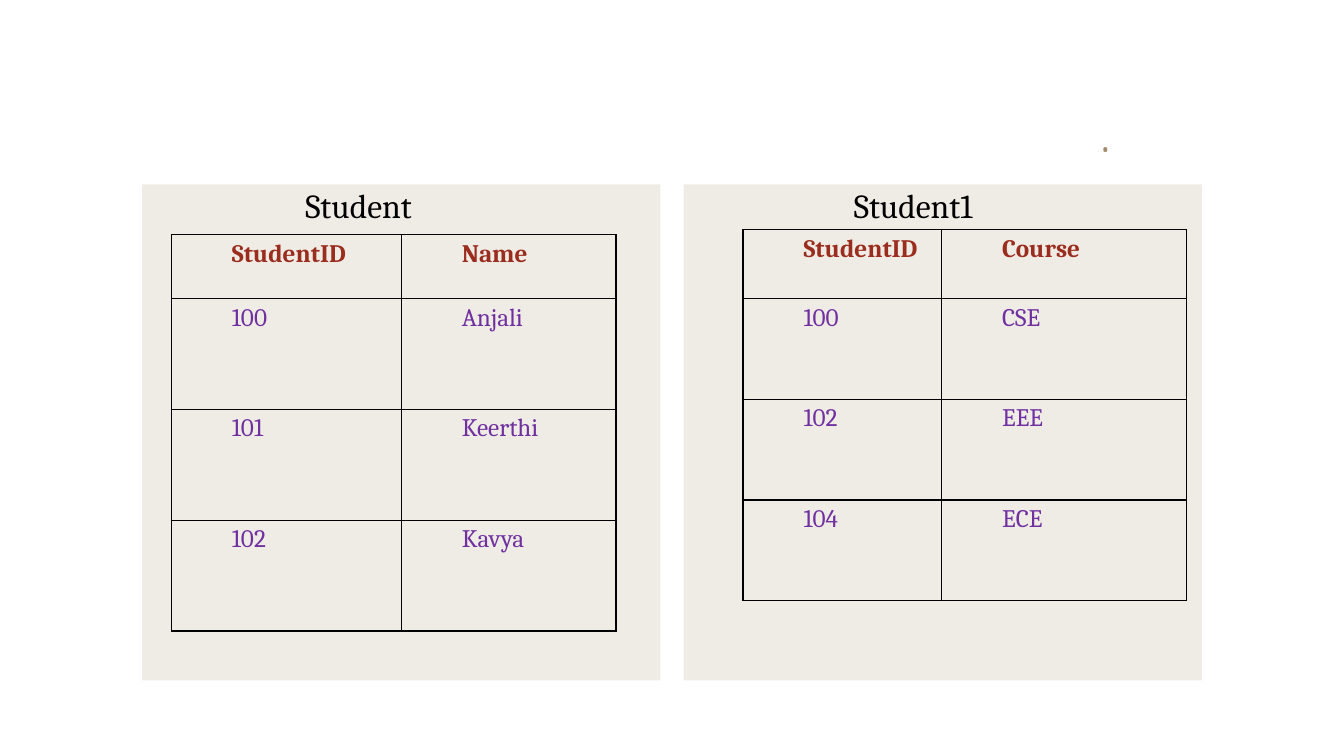
from dataclasses import dataclass

from lxml import etree
from pptx import Presentation
from pptx.dml.color import RGBColor
from pptx.enum.shapes import MSO_SHAPE
from pptx.enum.text import MSO_ANCHOR, PP_ALIGN
from pptx.oxml.ns import qn
from pptx.util import Inches, Pt

RECTANGLE = MSO_SHAPE.RECTANGLE
TOP, BOTTOM = MSO_ANCHOR.TOP, MSO_ANCHOR.BOTTOM
LEFT = PP_ALIGN.LEFT

BLACK = "000000"
PANEL_COLOR = "E9E5DC"
HEADER_COLOR = "9B2D1F"
VALUE_COLOR = "7030A0"
DOT_COLOR = "A28E6A"

PANEL_TOP, PANEL_WIDTH, PANEL_HEIGHT = 1.83, 5.14, 4.92
CELL_INDENT = 0.5


@dataclass
class StudentPanel:
    left: float
    heading: str
    heading_indent: float
    table_left: float
    table_top: float
    column_widths: list[float]
    header_height: float
    row_height: float
    rows: list[tuple[str, str]]


PANELS = [
    StudentPanel(1.41, "Student", 1.52, 1.7, 2.33, [2.28, 2.13], 0.63, 1.1,
                 [("StudentID", "Name"), ("100", "Anjali"),
                  ("101", "Keerthi"), ("102", "Kavya")]),
    StudentPanel(6.78, "Student1", 1.59, 7.37, 2.28, [1.97, 2.43], 0.68, 1.0,
                 [("StudentID", "Course"), ("100", "CSE"),
                  ("102", "EEE"), ("104", "ECE")]),
]


def rgb(color: str) -> RGBColor:
    return RGBColor.from_string(color)


def write_text(text_frame, text: str, *, size: float, color: str,
               font: str = "Cambria", bold: bool = False, indent: float = 0,
               line_spacing: float = 1.0) -> None:
    paragraph = text_frame.paragraphs[0]
    paragraph.alignment = LEFT
    paragraph.line_spacing = line_spacing
    properties = paragraph._p.get_or_add_pPr()
    properties.set("marL", str(Inches(indent)))
    properties.set("indent", "0")
    run = paragraph.add_run()
    run.text = text
    run.font.name = font
    run.font.size = Pt(size)
    run.font.bold = bold
    run.font.color.rgb = rgb(color)


def add_title_dot(slide) -> None:
    title = slide.shapes.add_textbox(Inches(1.41), Inches(0.42),
                                     Inches(10.5), Inches(1.25))
    title.text_frame.word_wrap = True
    title.text_frame.vertical_anchor = BOTTOM
    write_text(title.text_frame, ".", size=36, color=DOT_COLOR,
               font="Quicksand", indent=9.41, line_spacing=0.9)


def add_panel(slide, panel: StudentPanel) -> None:
    shape = slide.shapes.add_shape(RECTANGLE, Inches(panel.left), Inches(PANEL_TOP),
                                   Inches(PANEL_WIDTH), Inches(PANEL_HEIGHT))
    shape.shadow.inherit = False
    shape.line.fill.background()
    shape.fill.solid()
    shape.fill.fore_color.rgb = rgb(PANEL_COLOR)
    # 70 % opaque fill
    fill_color = shape._element.spPr.find(qn("a:solidFill"))[0]
    etree.SubElement(fill_color, qn("a:alpha")).set("val", "70000")
    shape.text_frame.word_wrap = True
    shape.text_frame.vertical_anchor = TOP
    write_text(shape.text_frame, panel.heading, size=24, color=BLACK,
               indent=panel.heading_indent, line_spacing=0.9)


def set_borders(cell) -> None:
    properties = cell._tc.get_or_add_tcPr()
    for side in ("lnL", "lnR", "lnT", "lnB"):
        line = etree.SubElement(properties, qn(f"a:{side}"))
        line.set("w", str(Pt(1)))
        fill = etree.SubElement(line, qn("a:solidFill"))
        etree.SubElement(fill, qn("a:srgbClr")).set("val", BLACK)


def add_student_table(slide, panel: StudentPanel) -> None:
    heights = [panel.header_height] + [panel.row_height] * (len(panel.rows) - 1)
    table = slide.shapes.add_table(
        len(heights), len(panel.column_widths),
        Inches(panel.table_left), Inches(panel.table_top),
        Inches(sum(panel.column_widths)), Inches(sum(heights))).table
    table.first_row = False
    table.horz_banding = False
    for column, width in zip(table.columns, panel.column_widths):
        column.width = Inches(width)
    for row_index, (height, values) in enumerate(zip(heights, panel.rows)):
        table.rows[row_index].height = Inches(height)
        is_header = row_index == 0
        for column_index, value in enumerate(values):
            cell = table.cell(row_index, column_index)
            set_borders(cell)
            cell.fill.background()
            write_text(cell.text_frame, value, size=18, bold=is_header,
                       color=HEADER_COLOR if is_header else VALUE_COLOR,
                       indent=CELL_INDENT)


def main() -> None:
    presentation = Presentation()
    presentation.slide_width = Inches(13.33)
    presentation.slide_height = Inches(7.5)
    slide = presentation.slides.add_slide(presentation.slide_layouts[6])

    # Title line
    add_title_dot(slide)

    # Panels behind, tables in front
    for panel in PANELS:
        add_panel(slide, panel)
    for panel in PANELS:
        add_student_table(slide, panel)

    presentation.save("out.pptx")


if __name__ == "__main__":
    main()
